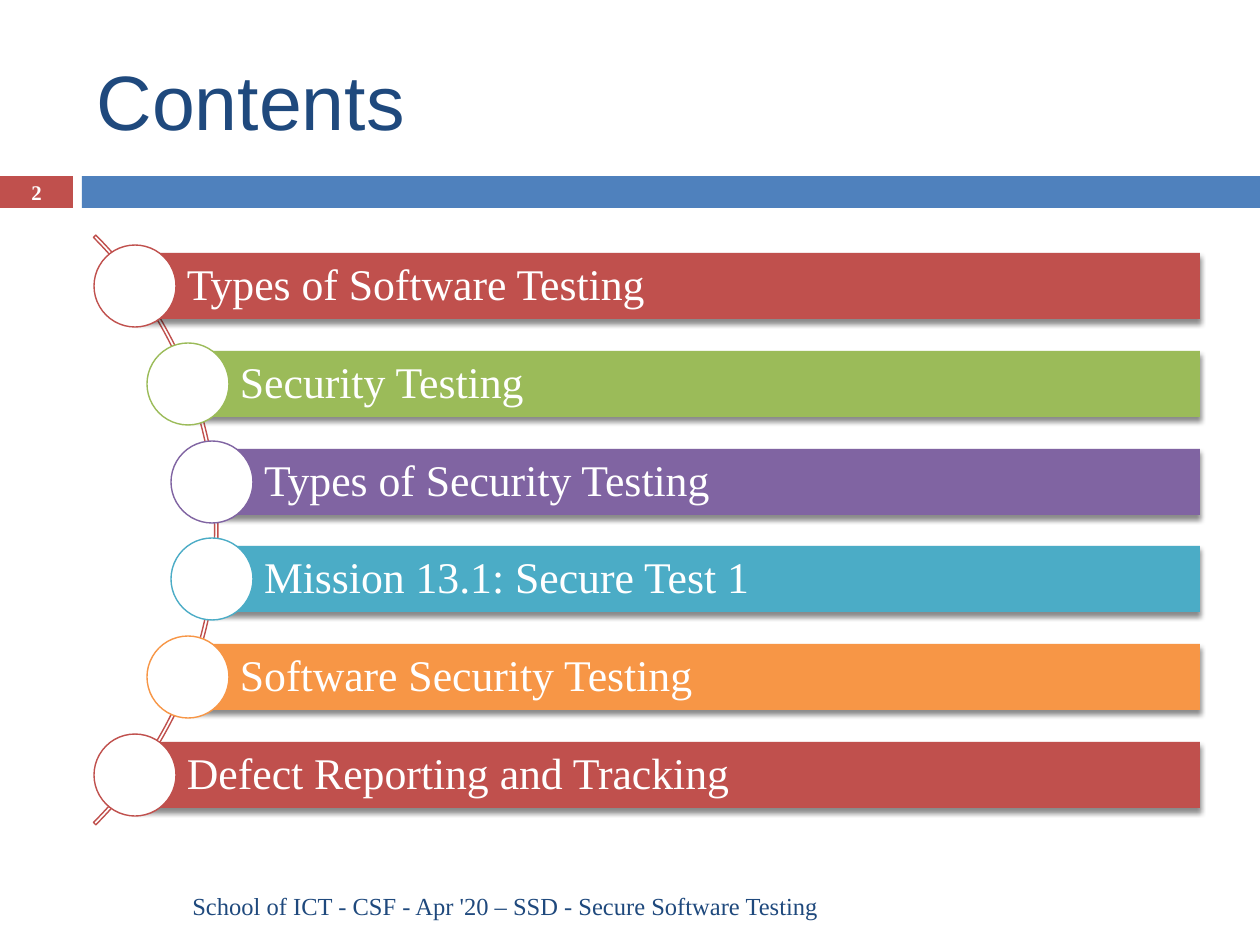
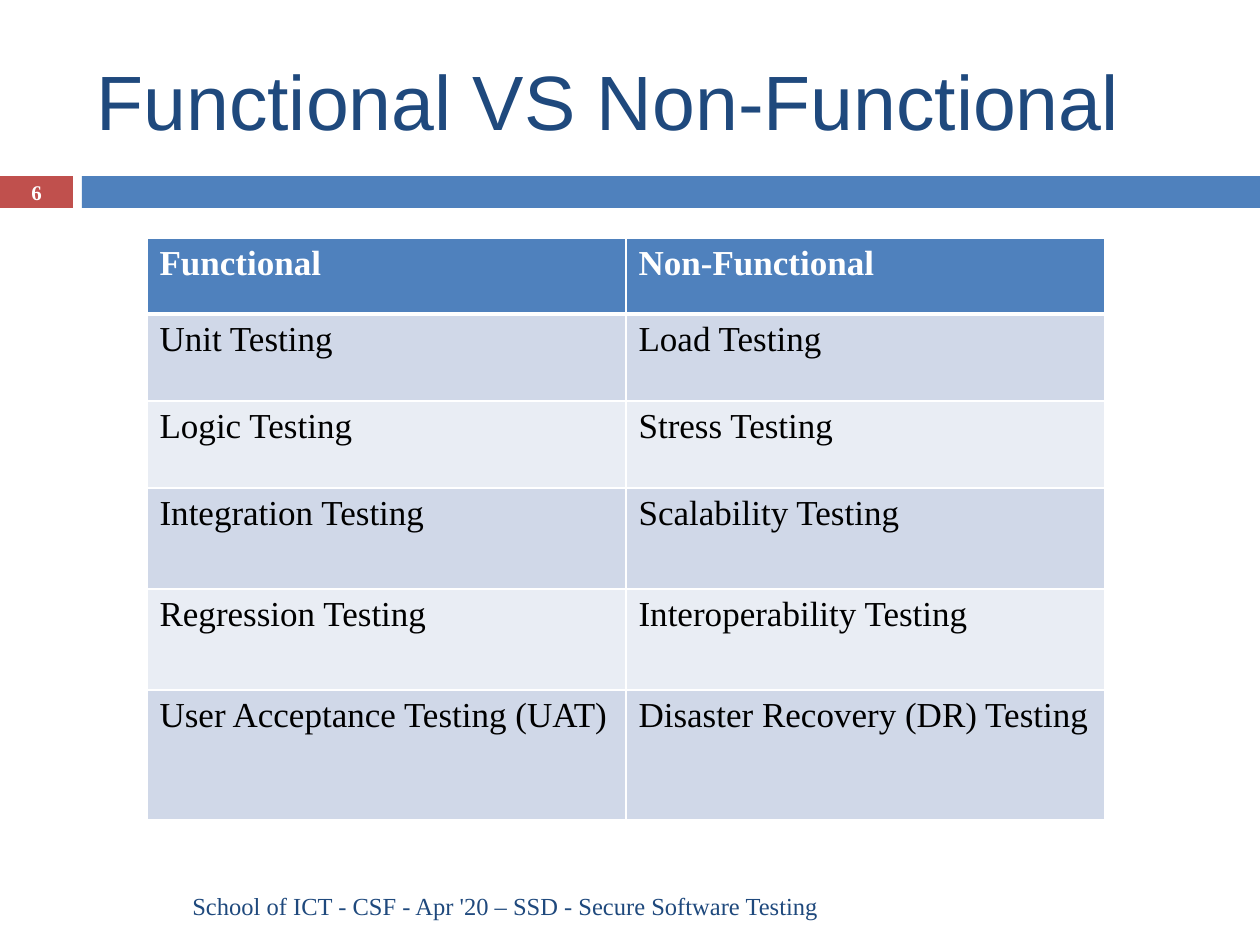
"""Build the contents and testing comparison slides of the secure software testing deck."""
import math
from dataclasses import dataclass

import lxml.etree
import pptx
import pptx.dml.color
import pptx.enum.shapes
import pptx.enum.text
import pptx.oxml.ns
import pptx.util

EMU_PER_PX = 914400 / 126
SHAPE = pptx.enum.shapes.MSO_SHAPE
ALIGN = pptx.enum.text.PP_ALIGN
MIDDLE = pptx.enum.text.MSO_ANCHOR.MIDDLE
SERIF = "Times New Roman"
COLORS = {
    "white": "FFFFFF", "black": "000000", "navy": "1F497D", "blue": "4F81BD",
    "red": "C0504D", "green": "9BBB59", "purple": "8064A2", "teal": "4BACC6",
    "orange": "F79646", "row_dark": "D0D8E8", "row_light": "E9EDF4",
}
FOOTER = "School of ICT - CSF - Apr '20 – SSD - Secure Software Testing"


@dataclass(frozen=True)
class Box:
    """Position and size in px."""
    left: int
    top: int
    width: int
    height: int

    def emu(self) -> tuple:
        """Give left, top, width and height as lengths."""
        return tuple(map(px, (self.left, self.top, self.width, self.height)))


@dataclass(frozen=True)
class TextStyle:
    """Look of a paragraph."""
    size: float
    color: str
    font: str = SERIF
    bold: bool = False
    align: ALIGN = ALIGN.LEFT


@dataclass(frozen=True)
class Topic:
    """One entry of the contents list."""
    label: str
    color: str


TITLE_STYLE = TextStyle(44, "navy", "Arial")
NUMBER_STYLE = TextStyle(11.9, "white", bold=True, align=ALIGN.CENTER)
FOOTER_STYLE = TextStyle(14, "navy", align=ALIGN.RIGHT)
TOPIC_STYLE = TextStyle(25, "white")
HEADER_STYLE = TextStyle(20, "white", bold=True)
CELL_STYLE = TextStyle(20, "black")

TITLE_BOX = Box(84, 32, 1124, 136)
NUMBER_BAND = Box(0, 176, 73, 32)
TITLE_BAND = Box(82, 176, 1178, 32)
FOOTER_BOX = Box(84, 881, 747, 50)

TOPICS = [
    Topic("Types of Software Testing", "red"),
    Topic("Security Testing", "green"),
    Topic("Types of Security Testing", "purple"),
    Topic("Mission 13.1: Secure Test 1", "teal"),
    Topic("Software Security Testing", "orange"),
    Topic("Defect Reporting and Tracking", "red"),
]
ARC_BOX = Box(-616, 113, 834, 834)
TOPIC_RADIUS = 414
FIRST_TOPIC_MIDDLE, LAST_TOPIC_MIDDLE = 286, 775
BAR_RIGHT, BAR_HEIGHT, CIRCLE_SIZE = 1200, 66, 82

TESTING_TYPES = [
    ("Functional", "Non-Functional"),
    ("Unit Testing", "Load Testing"),
    ("Logic Testing", "Stress Testing"),
    ("Integration Testing", "Scalability Testing"),
    ("Regression Testing", "Interoperability Testing"),
    ("User Acceptance Testing (UAT)", "Disaster Recovery (DR) Testing"),
]
ROW_HEIGHTS = [76, 87, 87, 101, 101, 130]
TABLE_BOX = Box(147, 238, 958, sum(ROW_HEIGHTS))


def px(length: int) -> pptx.util.Emu:
    """Turn px into EMU."""
    return pptx.util.Emu(round(length * EMU_PER_PX))


def rgb(color: str) -> pptx.dml.color.RGBColor:
    """Look up a named colour."""
    return pptx.dml.color.RGBColor.from_string(COLORS[color])


def write(frame, text: str, style: TextStyle) -> None:
    """Put one styled paragraph into a text frame."""
    frame.text = text
    paragraph = frame.paragraphs[0]
    paragraph.alignment = style.align
    paragraph.font.name = style.font
    paragraph.font.size = pptx.util.Pt(style.size)
    paragraph.font.bold = style.bold
    paragraph.font.color.rgb = rgb(style.color)


def add_figure(slide, kind: SHAPE, box: Box, fill: str = "", line: str = ""):
    """Add a preset shape with the given fill and outline."""
    figure = slide.shapes.add_shape(kind, *box.emu())
    figure.shadow.inherit = False
    if fill:
        figure.fill.solid()
        figure.fill.fore_color.rgb = rgb(fill)
    else:
        figure.fill.background()
    if line:
        figure.line.color.rgb = rgb(line)
        figure.line.width = pptx.util.Pt(0.79)
    else:
        figure.line.fill.background()
    return figure


def add_drop_shadow(figure) -> None:
    """Give a shape a soft shadow straight below it."""
    effects = figure._element.spPr.find(pptx.oxml.ns.qn("a:effectLst"))
    shadow = lxml.etree.SubElement(
        effects, pptx.oxml.ns.qn("a:outerShdw"),
        blurRad=str(pptx.util.Pt(3)), dist=str(pptx.util.Pt(2.4)),
        dir="5400000", rotWithShape="0")
    color = lxml.etree.SubElement(shadow, pptx.oxml.ns.qn("a:srgbClr"), val=COLORS["black"])
    lxml.etree.SubElement(color, pptx.oxml.ns.qn("a:alpha"), val="45000")


def add_base_slide(deck, title: str, number: int):
    """Add a slide with title, bands, number and footer."""
    slide = deck.slides.add_slide(deck.slide_layouts[5])
    heading = slide.shapes.title
    heading.left, heading.top, heading.width, heading.height = TITLE_BOX.emu()
    heading.text_frame.vertical_anchor = MIDDLE
    write(heading.text_frame, title, TITLE_STYLE)

    number_band = add_figure(slide, SHAPE.RECTANGLE, NUMBER_BAND, "red")
    number_band.text_frame.vertical_anchor = MIDDLE
    write(number_band.text_frame, str(number), NUMBER_STYLE)
    add_figure(slide, SHAPE.RECTANGLE, TITLE_BAND, "blue")

    footer = slide.shapes.add_textbox(*FOOTER_BOX.emu()).text_frame
    footer.word_wrap = True
    footer.vertical_anchor = MIDDLE
    write(footer, FOOTER, FOOTER_STYLE)
    return slide


def add_topic(slide, topic: Topic, middle: int) -> None:
    """Add a bar and its circle, placed along the arc."""
    arc_x = ARC_BOX.left + ARC_BOX.width // 2
    arc_y = ARC_BOX.top + ARC_BOX.height // 2
    left = round(arc_x + math.sqrt(TOPIC_RADIUS ** 2 - (middle - arc_y) ** 2))
    bar = add_figure(
        slide, SHAPE.RECTANGLE,
        Box(left, middle - BAR_HEIGHT // 2, BAR_RIGHT - left, BAR_HEIGHT), topic.color)
    add_drop_shadow(bar)
    frame = bar.text_frame
    frame.vertical_anchor = MIDDLE
    frame.margin_left = px(52)
    frame.margin_top = frame.margin_right = frame.margin_bottom = px(9)
    write(frame, topic.label, TOPIC_STYLE)
    frame.paragraphs[0].line_spacing = 0.9
    radius = CIRCLE_SIZE // 2
    add_figure(slide, SHAPE.OVAL,
               Box(left - radius, middle - radius, CIRCLE_SIZE, CIRCLE_SIZE),
               "white", topic.color)


def add_contents(deck) -> None:
    """Build the contents slide."""
    slide = add_base_slide(deck, "Contents", 2)
    arc = add_figure(slide, SHAPE.BLOCK_ARC, ARC_BOX, line="red")
    for index, value in enumerate((189, 27, 0.004)):
        arc.adjustments[index] = value
    pitch = (LAST_TOPIC_MIDDLE - FIRST_TOPIC_MIDDLE) / (len(TOPICS) - 1)
    for index, topic in enumerate(TOPICS):
        add_topic(slide, topic, round(FIRST_TOPIC_MIDDLE + index * pitch))


def set_borders(cell, top: int, bottom: int) -> None:
    """Draw white cell borders with widths in points."""
    properties = cell._tc.get_or_add_tcPr()
    widths = {"a:lnL": 1, "a:lnR": 1, "a:lnT": top, "a:lnB": bottom}
    for index, (side, width) in enumerate(widths.items()):
        border = lxml.etree.Element(pptx.oxml.ns.qn(side), w=str(pptx.util.Pt(width)))
        fill = lxml.etree.SubElement(border, pptx.oxml.ns.qn("a:solidFill"))
        lxml.etree.SubElement(fill, pptx.oxml.ns.qn("a:srgbClr"), val=COLORS["white"])
        properties.insert(index, border)


def add_comparison(deck) -> None:
    """Build the functional and non-functional testing slide."""
    slide = add_base_slide(deck, "Functional VS Non-Functional", 6)
    table = slide.shapes.add_table(len(TESTING_TYPES), 2, *TABLE_BOX.emu()).table
    for column in table.columns:
        column.width = px(TABLE_BOX.width // 2)
    for index, (labels, height) in enumerate(zip(TESTING_TYPES, ROW_HEIGHTS)):
        table.rows[index].height = px(height)
        fill = "blue" if index == 0 else ("row_light", "row_dark")[index % 2]
        for column, label in enumerate(labels):
            cell = table.cell(index, column)
            cell.fill.solid()
            cell.fill.fore_color.rgb = rgb(fill)
            set_borders(cell, 3 if index == 1 else 1, 3 if index == 0 else 1)
            write(cell.text_frame, label, CELL_STYLE if index else HEADER_STYLE)


def main() -> None:
    """Build and save the deck."""
    deck = pptx.Presentation()
    deck.slide_width, deck.slide_height = px(1260), px(945)
    add_contents(deck)
    add_comparison(deck)
    deck.save("out.pptx")


if __name__ == "__main__":
    main()
